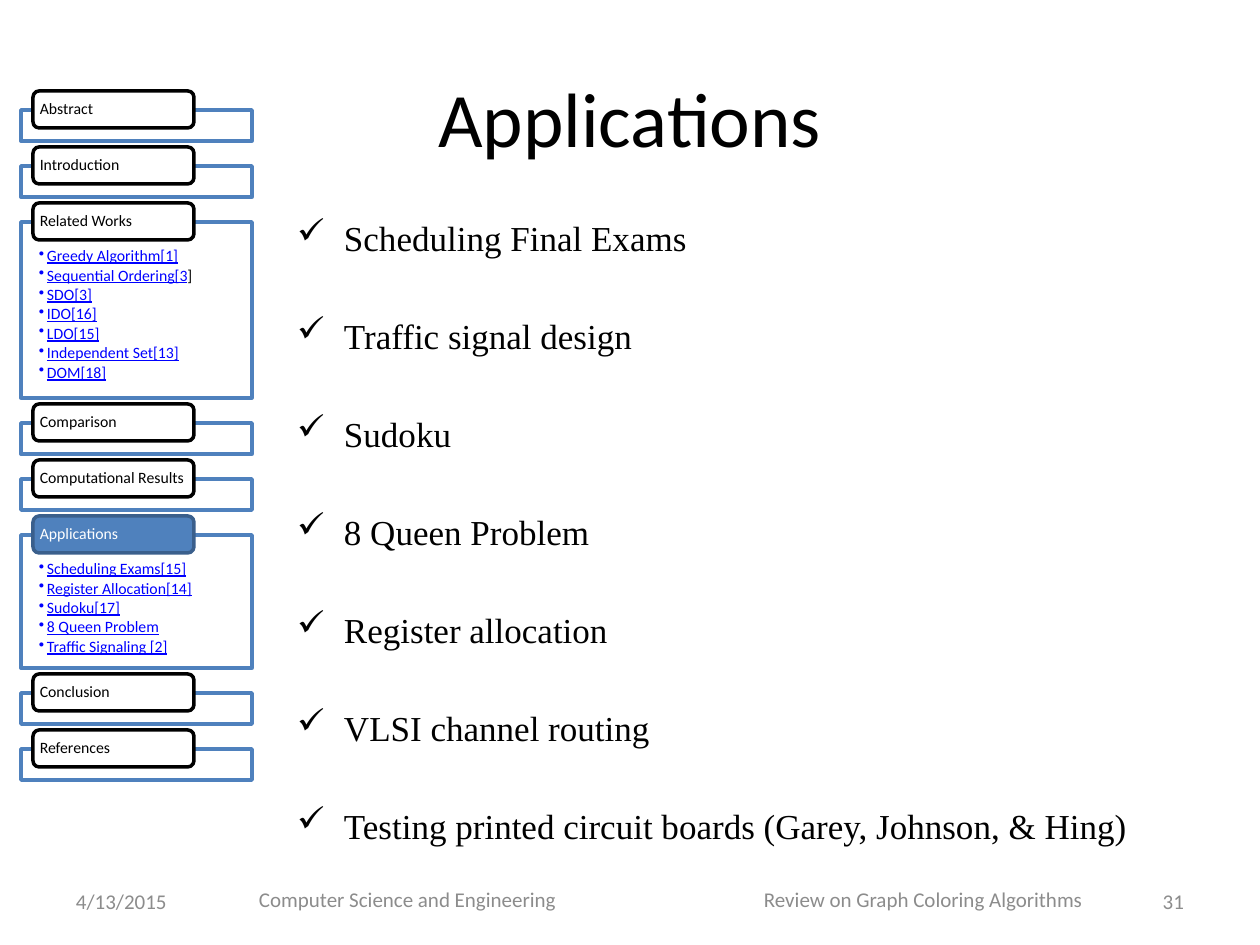
import dataclasses

import lxml.etree
import pptx
import pptx.dml.color
import pptx.enum.shapes
import pptx.enum.text
import pptx.oxml.ns
import pptx.util

SCALE = 914400 // 126
ANCHOR = pptx.enum.text.MSO_ANCHOR
ALIGN = pptx.enum.text.PP_ALIGN
SHAPE = pptx.enum.shapes.MSO_SHAPE


@dataclasses.dataclass(frozen=True)
class Theme:
    """Colours, fonts and type sizes of the slide."""
    ink: str = "000000"
    paper: str = "FFFFFF"
    accent: str = "4F81BD"
    accent_edge: str = "3A5F8C"
    link: str = "0000FF"
    muted: str = "8C8C8C"
    sans: str = "Calibri"
    serif: str = "Times New Roman"
    symbols: str = "Wingdings"
    title: int = 44
    body: int = 20
    footer: int = 12
    outline: int = 9


THEME = Theme()


def px(length):
    """Turn picture pixels into EMU."""
    return pptx.util.Emu(length * SCALE)


def rgb(code):
    """Turn a hex code into a colour."""
    return pptx.dml.color.RGBColor.from_string(code)


def apply(target, **values):
    """Set each given attribute on the target."""
    for name, value in values.items():
        setattr(target, name, value)


def place(part, box):
    """Move a part to a pixel box."""
    apply(part, **dict(zip(("left", "top", "width", "height"), map(px, box))))


def frame_text(part, anchor, insets=(13, 6, 13, 6)):
    """Format the text frame of a part and return it."""
    frame = part.text_frame
    sides = ("margin_left", "margin_top", "margin_right", "margin_bottom")
    apply(frame, word_wrap=True, auto_size=pptx.enum.text.MSO_AUTO_SIZE.NONE,
          vertical_anchor=anchor, **dict(zip(sides, map(px, insets))))
    return frame


def write(paragraph, words, size, color, face=THEME.sans, underline=None, align=ALIGN.LEFT):
    """Add one formatted run to a paragraph."""
    paragraph.alignment = align
    run = paragraph.add_run()
    run.text = words
    apply(run.font, size=pptx.util.Pt(size), name=face, underline=underline)
    run.font.color.rgb = rgb(color)


def add_child(paragraph, tag, **attributes):
    """Append a child to the paragraph properties and return it."""
    properties = paragraph._p.get_or_add_pPr()
    return lxml.etree.SubElement(properties, pptx.oxml.ns.qn(tag), attributes)


def bullet(paragraph, mark, indent, face=None):
    """Give a paragraph a hanging bullet."""
    properties = paragraph._p.get_or_add_pPr()
    properties.set("marL", str(px(indent)))
    properties.set("indent", str(-px(indent)))
    if face:
        add_child(paragraph, "a:buFont", typeface=face, pitchFamily="2", charset="2")
    add_child(paragraph, "a:buChar", char=mark)


def list_items(frame, items):
    """Yield a paragraph for each item, starting with the first empty one."""
    for index, item in enumerate(items):
        yield (frame.add_paragraph() if index else frame.paragraphs[0]), item


def add_panel(slide, kind, box, fill, edge):
    """Add a filled, outlined shape."""
    panel = slide.shapes.add_shape(kind, *map(px, box))
    panel.shadow.inherit = False
    panel.fill.solid()
    panel.fill.fore_color.rgb = rgb(fill)
    panel.line.color.rgb = rgb(edge)
    panel.line.width = pptx.util.Pt(2)
    return panel


def add_section(slide, box, heading, links, current):
    """Draw an outline section: a frame with links and a tab over its top edge."""
    left, top, _, _ = box
    listing = add_panel(slide, SHAPE.RECTANGLE, box, THEME.paper, THEME.accent)
    if links:
        frame = frame_text(listing, ANCHOR.TOP, (18, 26, 18, 9))
        for paragraph, link in list_items(frame, links):
            apply(paragraph, line_spacing=0.9, space_after=pptx.util.Pt(1.35))
            bullet(paragraph, "••", 8)
            linked, _, plain = link.partition("|")
            write(paragraph, linked, THEME.outline, THEME.link, underline=True)
            if plain:
                write(paragraph, plain, THEME.outline, THEME.ink, underline=False)
    colors = ((THEME.accent, THEME.accent_edge, THEME.paper) if current
              else (THEME.paper, THEME.ink, THEME.ink))
    tab = add_panel(slide, SHAPE.ROUNDED_RECTANGLE, (left + 12, top - 19, 161, 37), *colors[:2])
    label = frame_text(tab, ANCHOR.MIDDLE, (5, 0, 2, 0)).paragraphs[0]
    label.line_spacing = 0.9
    write(label, heading, THEME.outline, colors[2])


def add_outline(slide, box, sections, current):
    """Stack the sections down the box with equal gaps."""
    left, top, width, short = box
    heights = {7: 176, 5: 133}
    for heading, links in sections:
        height = heights.get(len(links), short)
        add_section(slide, (left, top, width, height), heading, links, heading == current)
        top += height + 25


def fill_title(slide, box, words):
    """Place and write the title."""
    place(slide.shapes.title, box)
    frame = frame_text(slide.shapes.title, ANCHOR.MIDDLE)
    write(frame.paragraphs[0], words, THEME.title, THEME.ink, align=ALIGN.CENTER)


def fill_body(slide, box, topics):
    """Place and write the checked list of topics."""
    body = slide.placeholders[1]
    place(body, box)
    frame = frame_text(body, ANCHOR.TOP)
    for paragraph, topic in list_items(frame, topics):
        apply(paragraph, space_before=pptx.util.Pt(4), space_after=pptx.util.Pt(29))
        bullet(paragraph, "ü", 47, THEME.symbols)
        paragraph.space_after = pptx.util.Pt(28)
        write(paragraph, topic, THEME.body, THEME.ink, THEME.serif)


def add_footer(slide, box, date, credits, number):
    """Add the date, the tabbed pair of credits and the page number."""
    left, top, width, height = box
    parts = (((left, top, 294, height), date, ALIGN.LEFT, 13),
             ((left + 147, top - 2, 924, height), "\t".join(credits), ALIGN.LEFT, 49),
             ((left + width - 294, top, 294, height), number, ALIGN.RIGHT, 13))
    for part_box, words, align, inset in parts:
        part = slide.shapes.add_textbox(*map(px, part_box))
        line = frame_text(part, ANCHOR.MIDDLE, (inset, 6, 13, 6)).paragraphs[0]
        if "\t" in words:
            stops = add_child(line, "a:tabLst")
            lxml.etree.SubElement(stops, pptx.oxml.ns.qn("a:tab"), pos=str(px(505)), algn="l")
        write(line, words, THEME.footer, THEME.muted, align=align)


SECTIONS = (
    ("Abstract", ()),
    ("Introduction", ()),
    ("Related Works", ("Greedy Algorithm[1]", "Sequential Ordering[3|]", "SDO[3]", "IDO[16]",
                       "LDO[15]", "Independent Set[13]", "DOM[18]")),
    ("Comparison", ()),
    ("Computational Results", ()),
    ("Applications", ("Scheduling Exams[15]", "Register Allocation[14]", "Sudoku[17]",
                      "8 Queen Problem", "Traffic Signaling [2]")),
    ("Conclusion", ()),
    ("References", ()),
)
TOPICS = ("Scheduling Final Exams", "Traffic signal design", "Sudoku", "8 Queen Problem",
          "Register allocation", "VLSI channel routing",
          "Testing printed circuit boards (Garey, Johnson, & Hing)")

deck = pptx.Presentation()
apply(deck, slide_width=px(1260), slide_height=px(945))
applications = deck.slides.add_slide(deck.slide_layouts[1])
fill_title(applications, (63, 38, 1134, 158), "Applications")
fill_body(applications, (284, 210, 903, 624), TOPICS)
add_outline(applications, (21, 110, 231, 31), SECTIONS, "Applications")
add_footer(applications, (63, 876, 1134, 50), "4/13/2015",
           ("Computer Science and Engineering", "Review on Graph Coloring Algorithms"), "31")
deck.save("out.pptx")
